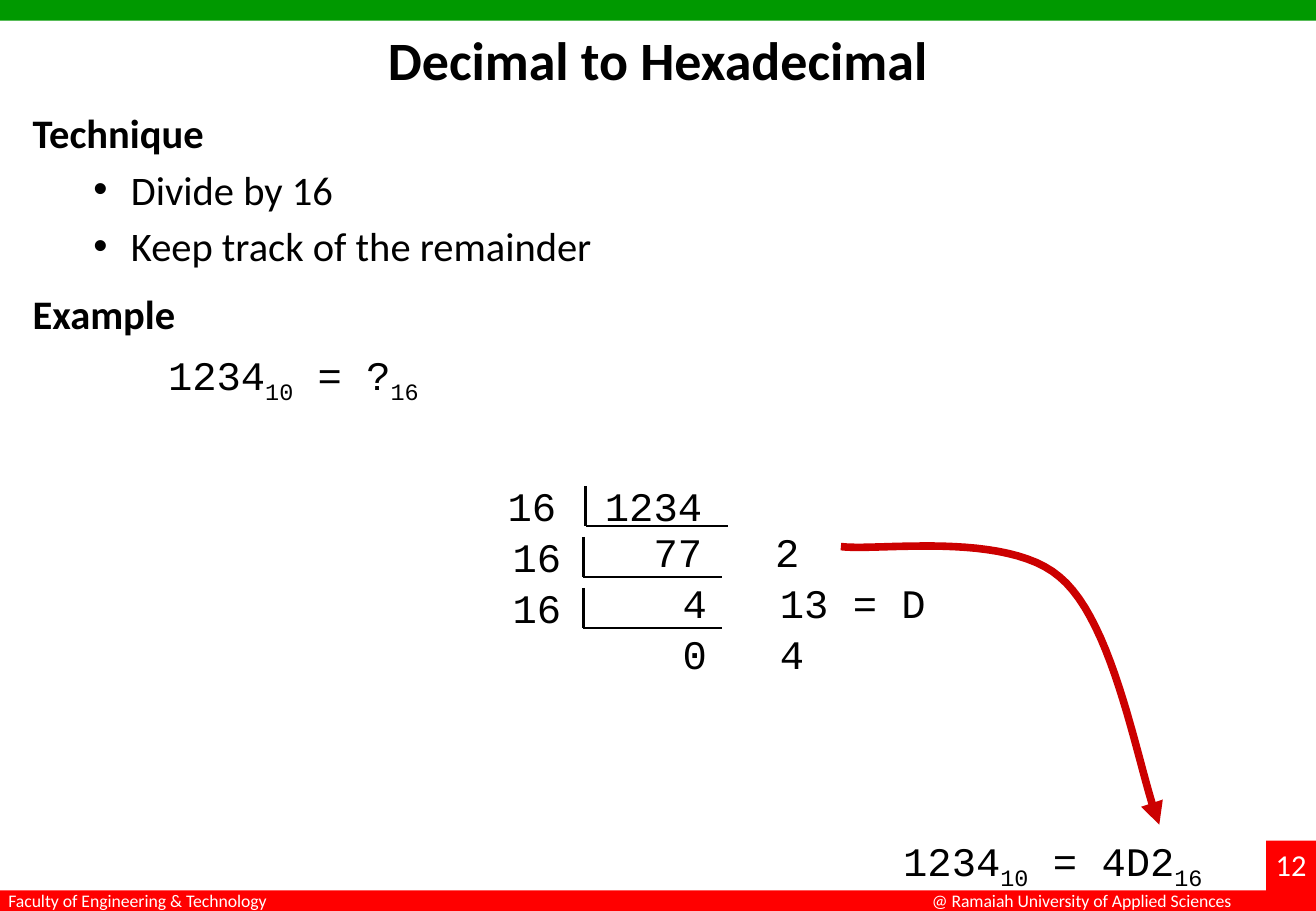
import pptx
import pptx.util
import pptx.dml.color
import pptx.enum.shapes
import pptx.enum.text
import pptx.oxml.ns
from lxml import etree
from dataclasses import dataclass

# Content
TITLE = "Decimal to Hexadecimal"
HEAD = "Technique"
STEPS = ["Divide by 16", "Keep track of the remainder"]
SAMPLE = "Example"
# Sums: box left, box top, (text, is subscript) parts
SUMS = [
    (83, 283, [("1234", False), ("10", True), (" = ?", False), ("16", True)]),
    (708, 683, [("1234", False), ("10", True), (" = 4D2", False), ("16", True)]),
]
# Division lines: left, top, {character column: text}
LINES = [
    (408, 391, {0: "16", 4: "1234"}),
    (408, 429, {6: "77", 11: "2"}),
    (412, 433, {0: "16"}),
    (412, 471, {7: "4", 11: "13 = D"}),
    (412, 475, {0: "16"}),
    (412, 513, {7: "0", 11: "4"}),
]
# Division brackets: left, top, right
HOOKS = [(482, 400, 599), (480, 442, 594), (480, 484, 594)]
# Arrow: start, then two Bezier curves of three points each
START = (692, 450)
CURVES = [
    [(722, 454), (828, 437), (872, 475)],
    [(918, 513), (937, 636), (954, 679)],
]
BARS = [(0, 0, 1083, 17, "green"), (0, 733, 1083, 17, "red"),
        (1042, 692, 42, 58, "red")]
# Footer: text, left, top, width, type size
FOOT = [
    ("@ Ramaiah University of Applied Sciences", 757, 728, 275, "small"),
    ("12", 1040, 692, 50, "page"),
    ("Faculty of Engineering & Technology", -3, 728, 238, "small"),
]


@dataclass
class Theme:
    green: str = "009900"
    red: str = "FF0000"
    arrow: str = "CC0000"
    ink: str = "000000"
    white: str = "FFFFFF"
    sans: str = "Calibri"
    mono: str = "Courier New"
    title: int = 32
    body: int = 24
    page: int = 18
    small: float = 10.5


look = Theme()
UNIT = 9144   # EMU in one px, at 100 px to the inch
CELL = 20     # width of one monospaced character
DROP = 33     # height of a bracket

deck = pptx.Presentation()
deck.slide_width, deck.slide_height = 1083 * UNIT, 750 * UNIT
slide = deck.slides.add_slide(deck.slide_layouts[6])
shapes = slide.shapes


def tint(code):
    return pptx.dml.color.RGBColor.from_string(code)


def child(parent, tag, **attrs):
    return etree.SubElement(parent, pptx.oxml.ns.qn(tag), attrs)


def write(text, box, size=look.body, face=look.sans, color=look.ink,
          bold=False, center=False, frame=None, bullet=False):
    """Write one paragraph; text is a string or (text, subscript) parts."""
    if frame is None:
        frame = shapes.add_textbox(*[n * UNIT for n in box]).text_frame
        frame.word_wrap = True
        para = frame.paragraphs[0]
    else:
        para = frame.add_paragraph()
        para.space_before = pptx.util.Pt(size * 0.2)
    if center:
        para.alignment = pptx.enum.text.PP_ALIGN.CENTER
    if bullet:
        props = para._p.get_or_add_pPr()
        props.set("marL", str(81 * UNIT))
        props.set("indent", str(-31 * UNIT))
        child(props, "a:buFont", typeface="Arial")
        child(props, "a:buChar", char="•")
    parts = [(text, False)] if isinstance(text, str) else text
    for words, sub in parts:
        run = para.add_run()
        run.text = words
        font = run.font
        font.name, font.size, font.bold = face, pptx.util.Pt(size), bold
        font.color.rgb = tint(color)
        if sub:
            font._element.set("baseline", "-25000")
    return frame


def rule(x1, y1, x2, y2):
    line = shapes.add_connector(pptx.enum.shapes.MSO_CONNECTOR.STRAIGHT,
                                *[n * UNIT for n in (x1, y1, x2, y2)])
    line.line.color.rgb = tint(look.ink)
    line.line.width = pptx.util.Pt(1.5)
    child(line._element.spPr, "a:effectLst")


def bend(start, curve, count=24):
    """Points along one cubic Bezier curve, in EMU."""
    knots = [start] + curve
    dots = []
    for step in range(1, count + 1):
        t = step / count
        parts = ((1 - t) ** 3, 3 * t * (1 - t) ** 2, 3 * t * t * (1 - t), t ** 3)
        dots.append(tuple(round(UNIT * sum(w * k[axis] for w, k in zip(parts, knots)))
                          for axis in (0, 1)))
    return dots


# Bars and footer
for left, top, wide, high, hue in BARS:
    bar = shapes.add_shape(pptx.enum.shapes.MSO_SHAPE.RECTANGLE,
                           *[n * UNIT for n in (left, top, wide, high)])
    bar.shadow.inherit = False
    bar.fill.solid()
    bar.fill.fore_color.rgb = tint(getattr(look, hue))
    bar.line.fill.background()
for text, left, top, wide, size in FOOT:
    write(text, (left, top, wide, 28), size=getattr(look, size), color=look.white)

# Title and technique
write(TITLE, (54, 17, 975, 125), size=look.title, bold=True, center=True)
body = write(HEAD, (17, 84, 850, 145), bold=True)
for step in STEPS:
    write(step, None, frame=body, bullet=True)

# Example sums
write(SAMPLE, (17, 233, 160, 50), bold=True)
for left, top, parts in SUMS:
    write(parts, (left, top, 317, 50), face=look.mono, center=True)

# Arrow from the remainders to the answer
pen = shapes.build_freeform(START[0] * UNIT, START[1] * UNIT, scale=1.0)
last = START
for curve in CURVES:
    pen.add_line_segments(bend(last, curve), close=False)
    last = curve[-1]
arrow = pen.convert_to_shape()
arrow.shadow.inherit = False
arrow.fill.background()
arrow.line.color.rgb = tint(look.arrow)
arrow.line.width = pptx.util.Pt(4.5)
child(arrow.line._get_or_add_ln(), "a:tailEnd", type="triangle")

# Repeated division
for left, top, cells in LINES:
    for col, text in cells.items():
        wide = (len(text) + 2) * CELL
        write(text, (left + col * CELL, top, wide, 50), face=look.mono)
for left, top, right in HOOKS:
    rule(left, top, left, top + DROP)
    rule(left, top + DROP, right, top + DROP)

deck.save("out.pptx")
